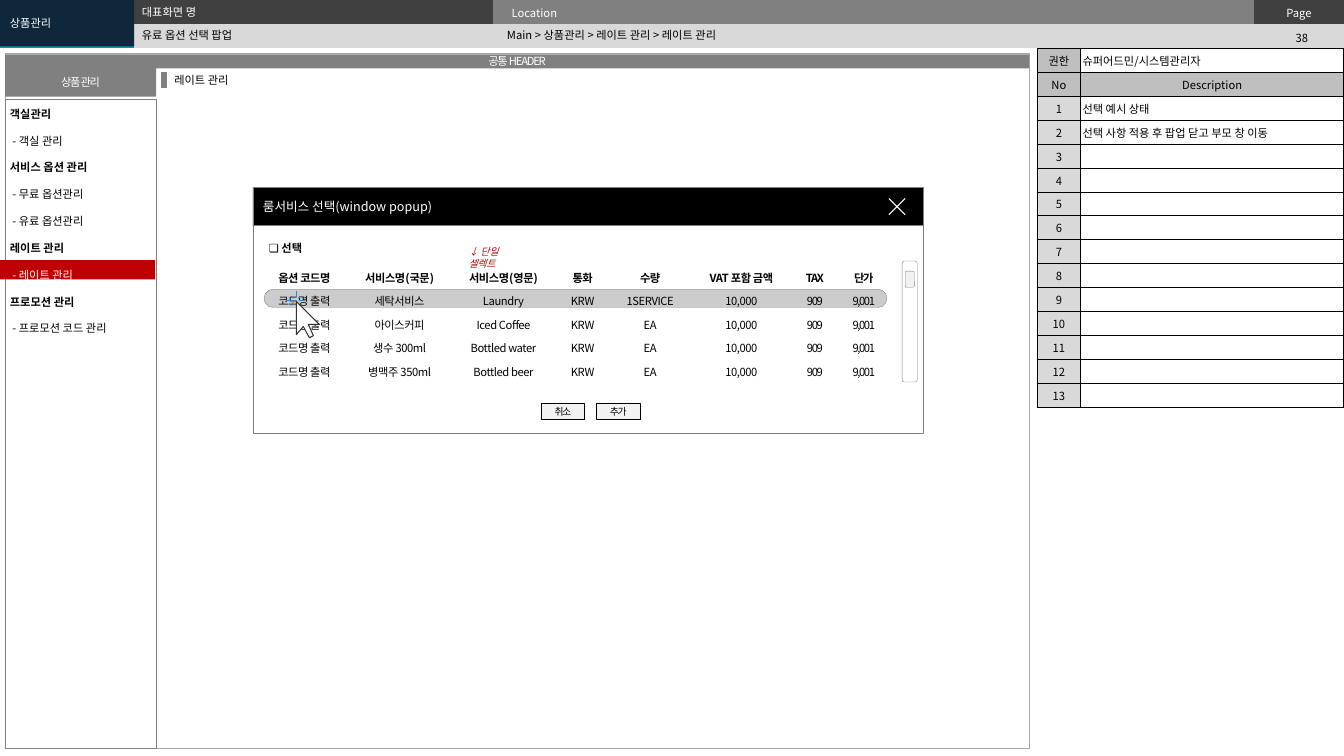
from lxml import etree
from pptx import Presentation
from pptx.dml.color import RGBColor
from pptx.enum.shapes import MSO_CONNECTOR, MSO_SHAPE
from pptx.enum.text import MSO_ANCHOR, PP_ALIGN
from pptx.oxml.ns import qn
from pptx.util import Pt

RECT, ROUND = MSO_SHAPE.RECTANGLE, MSO_SHAPE.ROUNDED_RECTANGLE
STRAIGHT = MSO_CONNECTOR.STRAIGHT
TOP, MIDDLE = MSO_ANCHOR.TOP, MSO_ANCHOR.MIDDLE
LEFT, CENTER = PP_ALIGN.LEFT, PP_ALIGN.CENTER
FONT = "Noto Sans CJK KR"
NO_STYLE = "{2D5ABB26-0587-4C30-8999-92F81FD0307C}"
rgb = RGBColor.from_string


def write(tf, text, size=8, color="000000", bold=False, italic=False, align=LEFT, spacing=0):
    """Fill a text frame, styling Latin and Korean glyphs alike."""
    tf.text = text
    for p in tf.paragraphs:
        p.alignment = align
        p.font.size = Pt(size)
        p.font.bold, p.font.italic = bold, italic
        p.font.color.rgb = rgb(color)
        p.font.name = FONT
        props = p._p.pPr.find(qn("a:defRPr"))
        etree.SubElement(props, qn("a:ea"), typeface=FONT)
        if spacing:
            props.set("spc", str(round(spacing * 100)))
        if not text:
            etree.SubElement(p._p, qn("a:endParaRPr"), sz=str(size * 100))


def box(x, y, w, h, text="", kind=None, fill=None, line=None, width=0.25,
        anchor=TOP, margins=(7.2, 3.6), **style):
    """Add a shape, or a text box when no kind is given."""
    place = Pt(x), Pt(y), Pt(w), Pt(h)
    if kind is None:
        sp = s.shapes.add_textbox(*place)
    else:
        sp = s.shapes.add_shape(kind, *place)
        sp.shadow.inherit = False
        if fill:
            sp.fill.solid()
            sp.fill.fore_color.rgb = rgb(fill)
        else:
            sp.fill.background()
        if line:
            sp.line.color.rgb = rgb(line)
            sp.line.width = Pt(width)
        else:
            sp.line.fill.background()
    if text:
        tf = sp.text_frame
        tf.word_wrap = True
        tf.vertical_anchor = anchor
        tf.margin_left = tf.margin_right = Pt(margins[0])
        tf.margin_top = tf.margin_bottom = Pt(margins[1])
        write(tf, text, **style)
    return sp


prs = Presentation()
prs.slide_width, prs.slide_height = Pt(960), Pt(540)
s = prs.slides.add_slide(prs.slide_layouts[6])

# Screen frame and side menu
box(3.6, 38.2, 731.5, 496.1, kind=RECT, line="A6A6A6")
box(3.6, 70.6, 108, 463.7, kind=RECT, line="808080")
banner = dict(kind=RECT, fill="808080", anchor=MIDDLE, margins=(2.9, 3.6),
              color="FFFFFF", align=CENTER, spacing=-0.9)
box(3.6, 38.9, 731.5, 10.1, "공통 HEADER", **banner)
box(3.6, 48.2, 108, 20.9, "상품 관리", **banner)
box(117.4, 49, 173.5, 17.3, "레이트 관리")
marker = s.shapes.add_connector(STRAIGHT, Pt(117.4), Pt(51.1), Pt(117.4), Pt(62.6))
marker.line.color.rgb = rgb("808080")
marker.line.width = Pt(4.5)
etree.SubElement(marker._element.spPr, qn("a:effectLst"))

box(-8.6, 185.8, 119.5, 13.7, kind=RECT, fill="C00000")
menu = ["객실관리", "- 객실 관리", "서비스 옵션 관리", "- 무료 옵션관리", "- 유료 옵션관리",
        "레이트 관리", "- 레이트 관리", "프로모션 관리", "- 프로모션 코드 관리"]
sp = box(0, 63.4, 113.8, 178.6, "\n".join(menu))
for p in sp.text_frame.paragraphs:
    p.line_spacing = 2.0
    if p.text.startswith("-"):
        p._p.pPr.set("marL", str(Pt(1.8)))
        p._p.pPr.set("indent", "0")
    else:
        p.font.bold = True
sp.text_frame.paragraphs[menu.index("- 레이트 관리")].font.color.rgb = rgb("FFFFFF")

# Popup window
box(180.7, 161.3, 478.8, 148.3, kind=RECT, fill="FFFFFF", line="808080", width=0.5)
box(180.7, 133.9, 478.8, 27.4, "룸서비스 선택(window popup)", kind=RECT, fill="000000",
    line="808080", width=0.5, anchor=MIDDLE, size=9, color="FFFFFF")
box(185, 169.2, 182.9, 17.3, "❏ 선택", bold=True)
for x, label in ((386.6, "취소"), (426.2, "추가")):
    box(x, 288, 31, 11.5, label, kind=RECT, fill="F2F2F2", line="000000", anchor=MIDDLE,
        margins=(0, 0), size=7, align=CENTER, spacing=-0.9)

# Tables: every cell is (text, fill, style)
white = dict(color="FFFFFF")
middle = dict(align=CENTER)
header_rows = [
    [("", "009CA6", {}), ("", "404040", {}), ("Location", "808080", white),
     ("Page", "404040", dict(white, align=CENTER))],
    [("", "009CA6", {})] + [("", "D9D9D9", {})] * 3,
]
notes = ["선택 예시 상태", "선택 사항 적용 후 팝업 닫고 부모 창 이동"] + [""] * 11
description_rows = [
    [("권한", "BFBFBF", middle), ("슈퍼어드민/시스템관리자", None, {})],
    [("No", "BFBFBF", middle), ("Description", "BFBFBF", middle)],
] + [[(str(n), "D9D9D9", middle), (note, None, {})] for n, note in enumerate(notes, 1)]
services = [
    ("옵션 코드명", "서비스명(국문)", "서비스명(영문)", "통화", "수량", "VAT 포함 금액", "TAX", "단가"),
]
for korean, english, unit in (("세탁서비스", "Laundry", "1SERVICE"),
                              ("아이스커피", "Iced Coffee", "EA"),
                              ("생수 300ml", "Bottled water", "EA"),
                              ("병맥주 350ml", "Bottled beer", "EA")):
    services.append(("코드명 출력", korean, english, "KRW", unit, "10,000", "909", "9,001"))
option_rows = [
    [(text, "FFFFFF", dict(align=CENTER, bold=i == 0, spacing=-1 if j > 5 else -0.3))
     for j, text in enumerate(row)] for i, row in enumerate(services)]

tables = [
    (0, 0, (95.5, 257, 543.3, 64.2), 17.14, header_rows, (13, 2.9), TOP, False),
    (740.9, 34.3, (31, 188), 17.14, description_rows, (1.4, 2.9), MIDDLE, True),
    (186.5, 188.6, (61.9, 74.2, 74.2, 38.9, 57.6, 72.7, 32.4, 37.4), 16.8,
     option_rows, (0, 3.6), MIDDLE, False),
]
for x, y, widths, height, rows, margins, anchor, bordered in tables:
    frame = s.shapes.add_table(len(rows), len(widths), Pt(x), Pt(y),
                               Pt(sum(widths)), Pt(height * len(rows)))
    table = frame.table
    table.first_row = table.horz_banding = False
    table._tbl.tblPr.find(qn("a:tableStyleId")).text = NO_STYLE
    for column, w in zip(table.columns, widths):
        column.width = Pt(w)
    for i, row in enumerate(rows):
        table.rows[i].height = Pt(height)
        for j, (text, fill, style) in enumerate(row):
            cell = table.cell(i, j)
            cell.margin_left = cell.margin_right = Pt(margins[0])
            cell.margin_top = cell.margin_bottom = Pt(margins[1])
            cell.vertical_anchor = anchor
            write(cell.text_frame, text, **style)
            for side in ("lnL", "lnR", "lnT", "lnB") if bordered else ():
                ln = etree.SubElement(cell._tc.tcPr, qn("a:" + side), w=str(Pt(0.5)))
                paint = etree.SubElement(ln, qn("a:solidFill"))
                etree.SubElement(paint, qn("a:srgbClr"), val="000000")
            if fill:
                cell.fill.solid()
                cell.fill.fore_color.rgb = rgb(fill)
            else:
                cell.fill.background()
    if rows is header_rows:
        table.cell(0, 0).merge(table.cell(1, 0))

# Header texts
box(0, 0, 95.8, 33.1, "상품관리", kind=RECT, fill="0E273B", anchor=MIDDLE, color="FFFFFF")
box(94.3, 0, 260.6, 15.8, "대표화면 명", color="FFFFFF")
box(94.3, 17.3, 261.4, 15.8, "유료 옵션 선택 팝업", anchor=MIDDLE)
box(355, 16.6, 531.4, 17.3, "Main > 상품관리 > 레이트 관리 > 레이트 관리", anchor=MIDDLE)
box(898.6, 18.7, 62.6, 17.3, "38", align=CENTER)

# Selected row, scroll bar and hint
pill = box(188.6, 206.6, 445, 13, kind=ROUND, fill="000000", line="808080")
pill.adjustments[0] = 0.5
shade = pill._element.spPr.find(qn("a:solidFill"))[0]
etree.SubElement(shade, qn("a:alpha"), val="20000")
box(646.6, 193.7, 6.5, 11.5, kind=ROUND, fill="F2F2F2", line="808080")
box(644.4, 186.5, 10.8, 86.4, kind=ROUND, line="808080")
box(327.6, 172.1, 55.4, 15.8, "↓ 단일\v셀렉트", size=7, color="C00000", italic=True)

# Close cross, mouse cursor and click rays
cross = [[(646.6, 141.8), (635, 153.4)], [(635, 141.8), (646.6, 153.4)]]
cursor = [[(223.9, 239.8), (220.3, 231.8), (228.2, 231.8), (211.7, 215.3),
           (211.7, 239), (216.7, 233.3), (221, 241.2)]]
rays = [[(209.5, 216), (208.1, 218.2)], [(209.5, 213.1), (208.1, 211.7)],
        [(213.1, 213.1), (214.6, 211.7)], [(208.8, 214.6), (204.5, 214.6)],
        [(211.7, 212.4), (211.7, 208.1)], [(213.8, 214.6), (218.2, 214.6)]]
for strokes, line, fill in ((cross, "FFFFFF", None), (cursor, "333333", "FFFFFF"),
                            (rays, "3483CB", None)):
    strokes = [[(Pt(x), Pt(y)) for x, y in stroke] for stroke in strokes]
    outline = s.shapes.build_freeform(*strokes[0][0])
    for stroke in strokes:
        if stroke is not strokes[0]:
            outline.move_to(*stroke[0])
        outline.add_line_segments(stroke[1:], close=fill is not None)
    sp = outline.convert_to_shape()
    sp.shadow.inherit = False
    sp.line.color.rgb = rgb(line)
    sp.line.width = Pt(0.75)
    if fill:
        sp.fill.solid()
        sp.fill.fore_color.rgb = rgb(fill)
    else:
        sp.fill.background()

prs.save("out.pptx")
